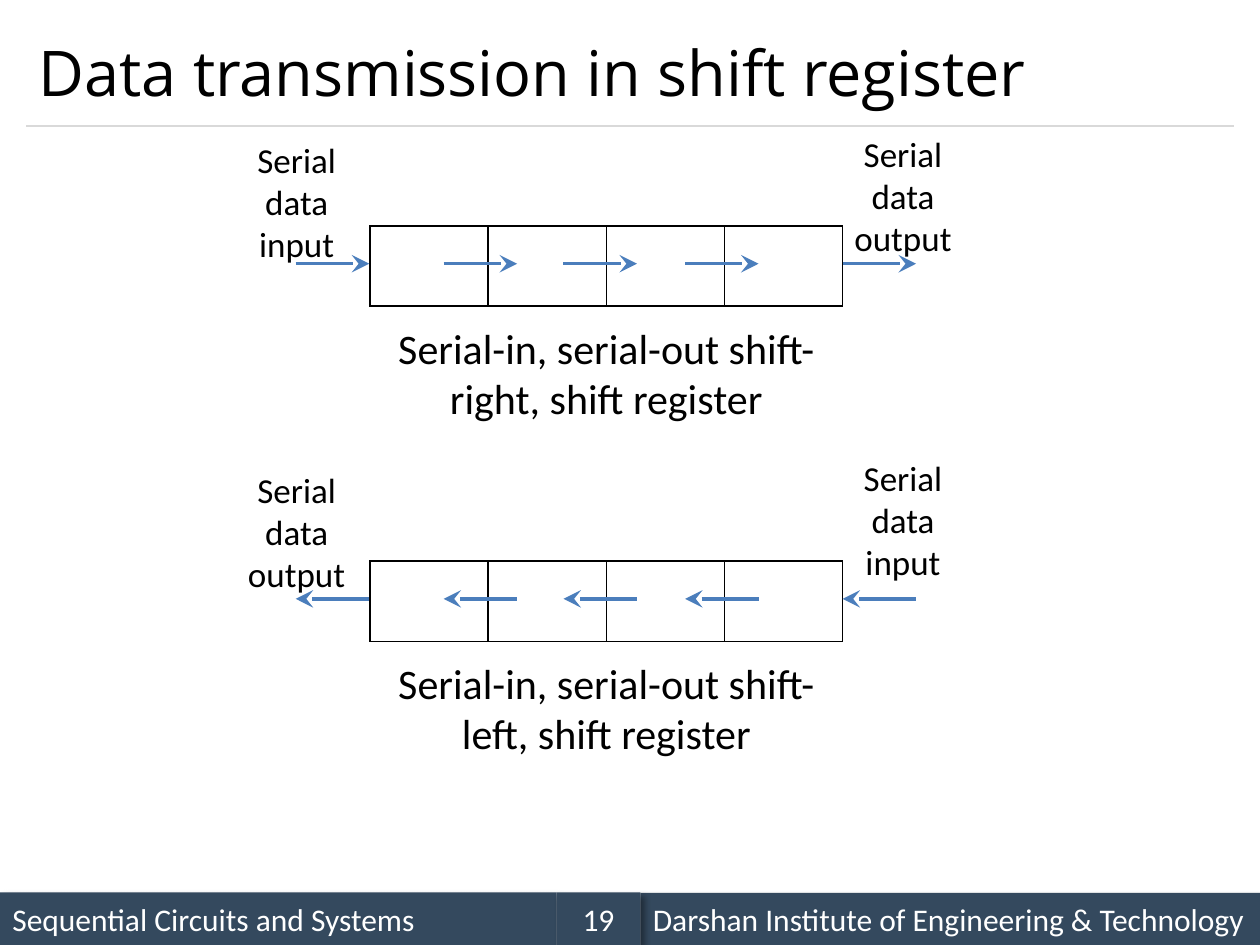
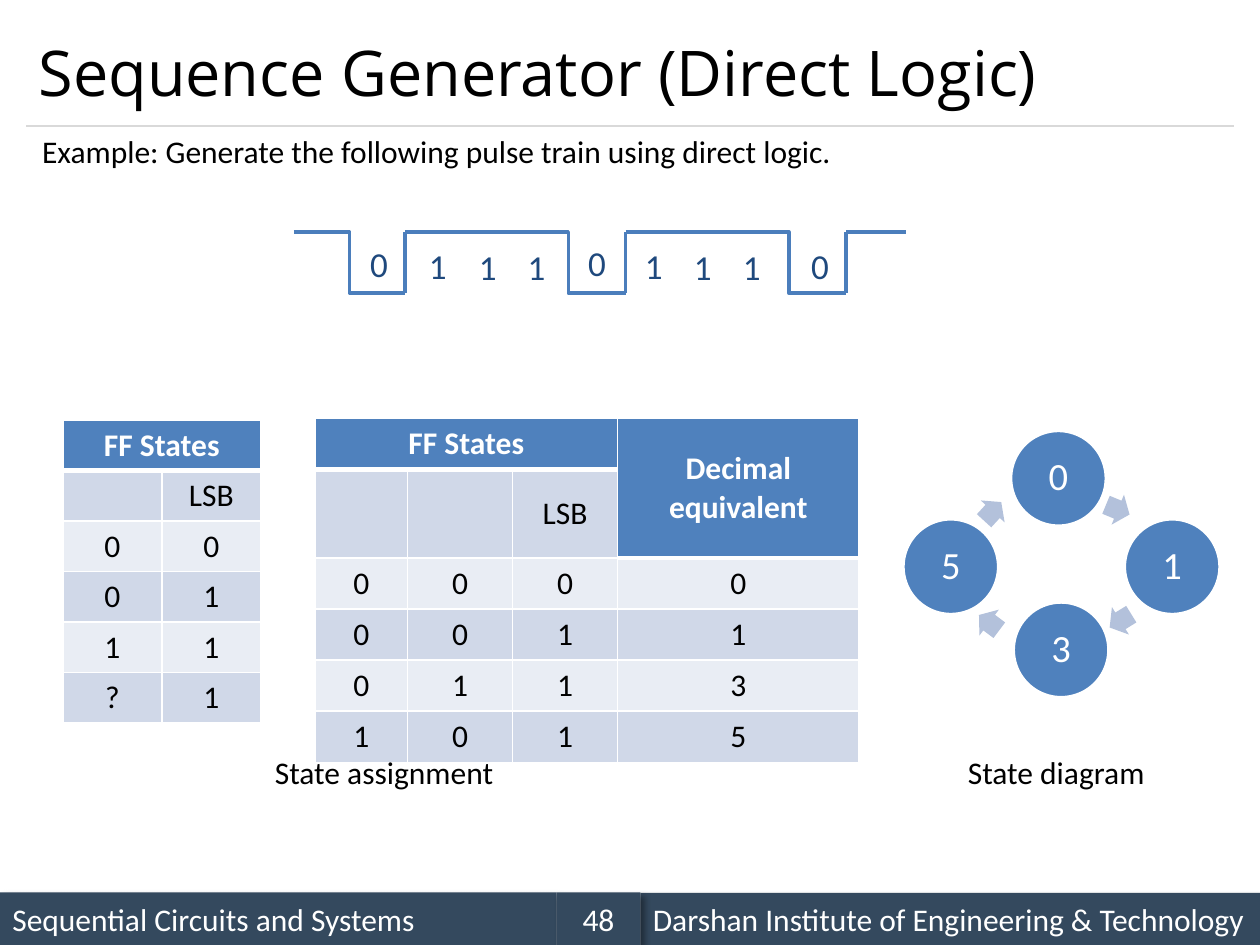
"""Build two lecture slides on shift registers and sequence generators."""
from dataclasses import dataclass
from typing import Optional

from lxml import etree
from pptx import Presentation
from pptx.dml.color import RGBColor
from pptx.enum import shapes, text
from pptx.oxml import ns
from pptx.util import Pt

COLORS = {
    "ink": "000000", "white": "FFFFFF", "band": "34495E", "rule": "D9D9D9",
    "line": "4B7EBC", "digit": "1F497D", "accent": "4F81BD",
    "row_dark": "D0D8E8", "row_light": "E9EDF4", "cycle_arrow": "B3C1DB",
}
LEFT, CENTER = text.PP_ALIGN.LEFT, text.PP_ALIGN.CENTER
TOP, MIDDLE = text.MSO_ANCHOR.TOP, text.MSO_ANCHOR.MIDDLE


@dataclass(frozen=True)
class Box:
    x: float
    y: float
    w: float
    h: float

    def emu(self) -> tuple:
        return Pt(self.x), Pt(self.y), Pt(self.w), Pt(self.h)


@dataclass(frozen=True)
class Style:
    size: float = 18
    color: str = "ink"
    align: int = LEFT
    anchor: int = TOP
    font: str = "Calibri"
    bold: bool = False
    wrap: bool = True
    spacing: Optional[float] = None


@dataclass(frozen=True)
class Register:
    y: float
    arrow_end: str
    caption: str
    left_label: str
    left_y: float
    right_label: str
    right_y: float


@dataclass(frozen=True)
class Grid:
    box: Box
    widths: tuple
    rows: tuple
    merges: tuple = ()
    anchor: int = TOP
    border: str = "white"
    styled: bool = True


@dataclass(frozen=True)
class Turn:
    x: float
    y: float
    angle: float


TITLE = Style(36, anchor=MIDDLE, font="Open Sans")
BODY = Style()
LABEL = Style(20, align=CENTER)
CAPTION = Style(24, align=CENTER)
DIGIT = Style(20, "digit", wrap=False)
BAND = Style(color="white", anchor=MIDDLE)
BAND_NUMBER = Style(color="white", align=CENTER, anchor=MIDDLE)
NODE = Style(22, "white", CENTER, MIDDLE, spacing=0.9)

REGISTERS = (
    Register(129, "tailEnd", "Serial-in, serial-out shift-right, shift register",
             "Serial data input", 75.5, "Serial data output", 72),
    Register(320.5, "headEnd", "Serial-in, serial-out shift-left, shift register",
             "Serial data output", 264, "Serial data input", 257.5),
)
SHIFT_ARROWS = (169, 253.5, 322, 391.5, 481.5)

DIGITS = "011101110"
DIGIT_XS = (204.5, 238, 266.5, 294.5, 329, 361.5, 389.5, 417.5, 456.5)
DIGIT_YS = (135, 136, 137, 137, 134.5, 136, 137, 137, 136)
PULSE_START, PULSE_END, HIGH, LOW = 168, 517.5, 132.5, 167.5
RISES = tuple(231.5 + 126 * i for i in range(3))
FALL_SHARES = (0.5, 0.74, 0.74)

TWO_BIT = Grid(
    Box(36, 240, 113, 172.8), (56.5, 56.5),
    (("FF States", ""), ("", "LSB"), "00", "01", "11", "?1"),
    merges=((0, 0, 0, 1),))
THREE_BIT = Grid(
    Box(180, 239.2, 311, 175.2), (53, 60, 60, 138),
    (("FF States", "", "", "Decimal\nequivalent"), ("", "", "LSB", ""),
     "0000", "0011", "0113", "1015"),
    merges=((0, 0, 0, 2), (0, 3, 1, 3)), anchor=MIDDLE)

NODES = {"0": (577.5, 246), "1": (642.5, 296.5), "3": (579, 344), "5": (516, 296.5)}
TURNS = (Turn(631.5, 282, 22.5), Turn(633, 345.5, 148.3),
         Turn(558, 346.5, 216.9), Turn(560, 283, 312.6))


def rgb(name: str) -> RGBColor:
    return RGBColor.from_string(COLORS[name])


def add_child(parent, tag: str, **attrs):
    child = etree.SubElement(parent, ns.qn(tag))
    for key, value in attrs.items():
        child.set(key, str(value))
    return child


def write(tf, content: str, style: Style) -> None:
    tf.text = content
    tf.word_wrap = style.wrap
    tf.vertical_anchor = style.anchor
    for p in tf.paragraphs:
        p.alignment = style.align
        p.line_spacing = style.spacing
        p.font.name = style.font
        p.font.size = Pt(style.size)
        p.font.bold = style.bold
        p.font.color.rgb = rgb(style.color)


def add_text(s, box: Box, content: str, style: Style) -> None:
    write(s.shapes.add_textbox(*box.emu()).text_frame, content, style)


def add_shape(s, kind, box: Box, fill: str):
    sp = s.shapes.add_shape(kind, *box.emu())
    sp.shadow.inherit = False
    sp.fill.solid()
    sp.fill.fore_color.rgb = rgb(fill)
    sp.line.fill.background()
    return sp


def add_line(s, start: tuple, end: tuple, color: str = "line", width: float = 2,
             arrow_end: str = "", bend: Optional[float] = None) -> None:
    kind = shapes.MSO_CONNECTOR.STRAIGHT if bend is None else shapes.MSO_CONNECTOR.ELBOW
    line = s.shapes.add_connector(kind, *(Pt(v) for v in start + end))
    line.line.color.rgb = rgb(color)
    line.line.width = Pt(width)
    sp_pr = line._element.spPr
    if arrow_end:
        add_child(sp_pr.find(ns.qn("a:ln")), "a:" + arrow_end,
                  type="stealth", w="lg", len="lg")
    if bend is not None:
        guides = sp_pr.find(ns.qn("a:prstGeom")).find(ns.qn("a:avLst"))
        add_child(guides, "a:gd", name="adj1", fmla=f"val {round(bend * 100000)}")
    add_child(sp_pr, "a:effectLst")


def add_border(cell, side: str, color: str, width: float) -> None:
    ln = add_child(cell._tc.get_or_add_tcPr(), "a:ln" + side, w=Pt(width))
    add_child(add_child(ln, "a:solidFill"), "a:srgbClr", val=COLORS[color])


def add_grid(s, grid: Grid) -> None:
    count = len(grid.rows)
    table = s.shapes.add_table(count, len(grid.widths), *grid.box.emu()).table
    table.first_row = grid.styled
    table.horz_banding = grid.styled
    for column, width in zip(table.columns, grid.widths):
        column.width = Pt(width)
    for i, row in enumerate(grid.rows):
        table.rows[i].height = Pt(grid.box.h / count)
        for j, content in enumerate(row):
            cell = table.cell(i, j)
            header = grid.styled and (i == 0 or "\n" in content)
            write(cell.text_frame, content,
                  Style(color="white" if header else "ink", align=CENTER, bold=header))
            cell.vertical_anchor = MIDDLE if header else grid.anchor
            for side in "LRTB" if i == 0 else "LRB":
                add_border(cell, side, grid.border, 3 if header and side == "B" else 1)
            if grid.styled:
                cell.fill.solid()
                cell.fill.fore_color.rgb = rgb(
                    "accent" if header else ("row_light", "row_dark")[i % 2])
            else:
                cell.fill.background()
    for top, left, bottom, right in grid.merges:
        table.cell(top, left).merge(table.cell(bottom, right))


def add_band(s, box: Box, content: str, style: Style) -> None:
    sp = add_shape(s, shapes.MSO_SHAPE.RECTANGLE, box, "band")
    effects = sp._element.spPr.find(ns.qn("a:effectLst"))
    shadow = add_child(effects, "a:outerShdw", blurRad=Pt(4), dist=Pt(3),
                       dir=45 * 60000, algn="tl", rotWithShape=0)
    add_child(add_child(shadow, "a:srgbClr", val=COLORS["ink"]), "a:alpha", val=40000)
    write(sp.text_frame, content, style)


def add_base(prs, title: str, number: int):
    s = prs.slides.add_slide(prs.slide_layouts[6])
    add_band(s, Box(0, 510, 318, 30), "Sequential Circuits and Systems", BAND)
    add_line(s, (15, 72), (705, 72), "rule", 0.75)
    add_band(s, Box(366, 510.3, 354, 30),
             "Darshan Institute of Engineering & Technology", BAND)
    add_band(s, Box(318, 510, 48, 30), str(number), BAND_NUMBER)
    add_text(s, Box(15, 9, 690, 63), title, TITLE)
    return s


def add_register(s, reg: Register) -> None:
    add_grid(s, Grid(Box(211.5, reg.y, 270, 46), (67.5,) * 4, (("",) * 4,),
                     border="ink", styled=False))
    for x in SHIFT_ARROWS:
        y = reg.y + 21.7
        add_line(s, (x, y), (x + 42, y), arrow_end=reg.arrow_end)
    add_text(s, Box(211.5, reg.y + 51.7, 270, 65.5), reg.caption, CAPTION)
    for content, middle, y in ((reg.left_label, 169.5, reg.left_y),
                               (reg.right_label, 516, reg.right_y)):
        add_text(s, Box(middle - 38, y, 76, 80), content, LABEL)


def add_pulse_train(s) -> None:
    for start, rise, share in zip((PULSE_START,) + RISES, RISES, FALL_SHARES):
        add_line(s, (start, HIGH), (rise, LOW), bend=share)
        add_line(s, (rise, LOW), (rise, HIGH))
    add_line(s, (RISES[-1], HIGH), (PULSE_END, HIGH))
    for digit, x, y in zip(DIGITS, DIGIT_XS, DIGIT_YS):
        add_text(s, Box(x, y, 24.5, 31.5), digit, DIGIT)


def add_state_cycle(s) -> None:
    for state, (x, y) in NODES.items():
        sp = add_shape(s, shapes.MSO_SHAPE.OVAL, Box(x, y, 54.7, 54.7), "accent")
        sp.line.color.rgb = rgb("white")
        sp.line.width = Pt(2)
        write(sp.text_frame, state, NODE)
    for turn in TURNS:
        sp = add_shape(s, shapes.MSO_SHAPE.RIGHT_ARROW,
                       Box(turn.x, turn.y, 14.5, 18.5), "cycle_arrow")
        sp.adjustments[0] = 0.6
        sp.adjustments[1] = 0.5
        sp.rotation = turn.angle


def main() -> None:
    prs = Presentation()
    prs.slide_width, prs.slide_height = Pt(720), Pt(540)

    s = add_base(prs, "Data transmission in shift register", 19)
    for reg in REGISTERS:
        add_register(s, reg)

    s = add_base(prs, "Sequence Generator (Direct Logic)", 48)
    add_text(s, Box(17, 72, 673, 29),
             "Example: Generate the following pulse train using direct logic.", BODY)
    add_pulse_train(s)
    add_grid(s, TWO_BIT)
    add_grid(s, THREE_BIT)
    add_state_cycle(s)
    add_text(s, Box(150, 427, 144, 29), "State assignment", BODY)
    add_text(s, Box(546, 427, 117, 29), "State diagram", BODY)
    prs.save("out.pptx")


if __name__ == "__main__":
    main()
